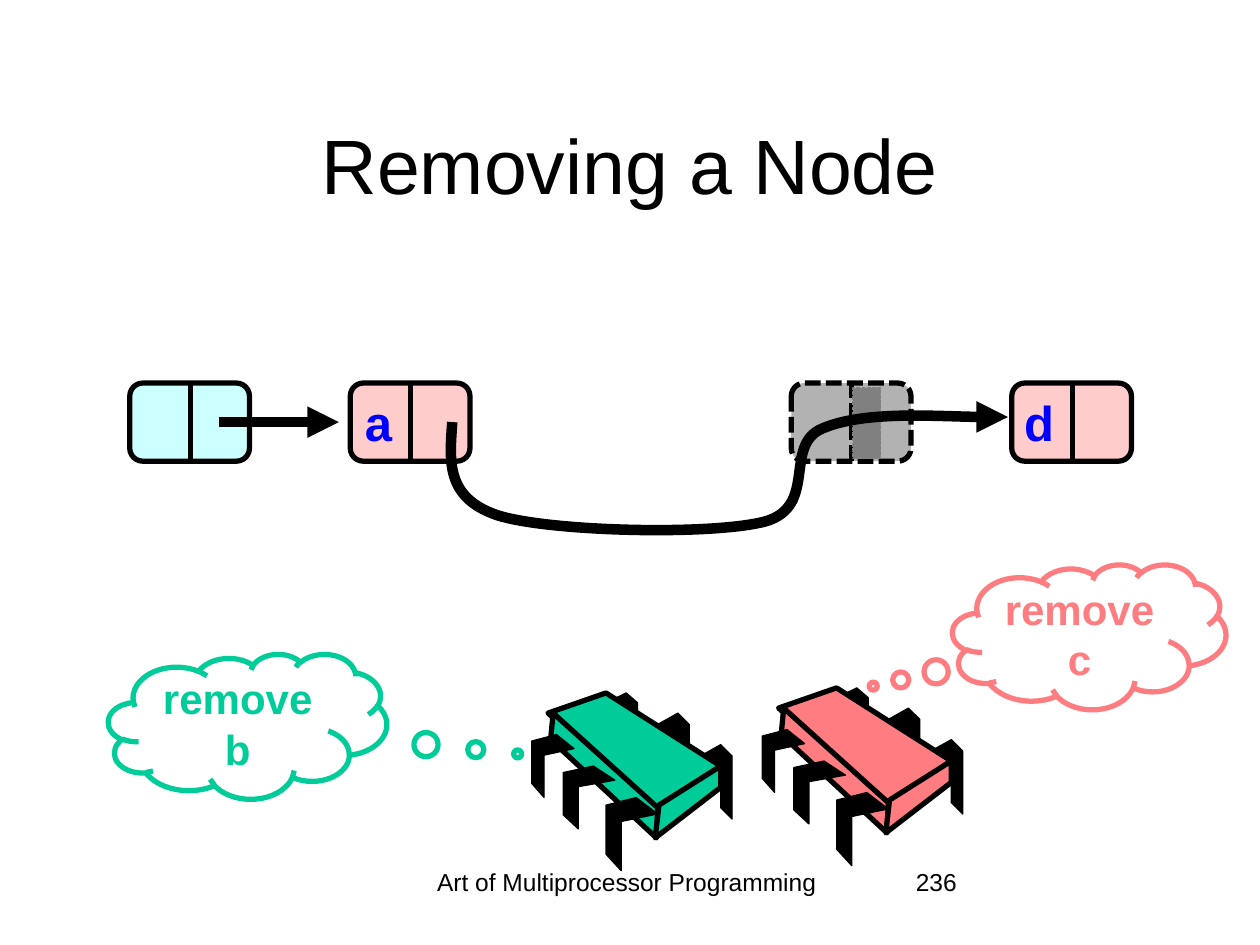
from lxml import etree
from pptx import Presentation
from pptx.dml import color
from pptx.enum import dml, shapes, text
from pptx.oxml import ns
from pptx.util import Inches, Pt

COLORS = {
    "black": "000000", "blue": "0000FF", "head": "CCFFFF", "node": "FFCCCC",
    "removed": "B2B2B2", "mark": "808080", "green": "00CC99", "red": "FF7C80",
}
LABEL = {"size": Pt(28), "bold": True}
THOUGHT = {"size": Pt(24), "bold": True}
FOOTER = {"size": Pt(14)}
TITLE = {"size": Pt(44)}
DOTTED = dml.MSO_LINE.SQUARE_DOT

# Row of list nodes
NODE_LEFT, NODE_STEP, NODE_TOP = 1.03, 1.75, 3.04
NODE_WIDTH, NODE_HEIGHT = 0.95, 0.62

# Chip outlines, in inches from the top left corner of the chip
BACK_LEG = [(0, 0.09), (0.16, 0), (0.25, 0.09), (0.25, 0.59), (0.16, 0.5),
            (0.16, 0.17), (0, 0.25)]
FRONT_LEG = [(0.24, 0), (0.41, 0.13), (0.12, 0.19), (0.12, 0.58), (0, 0.45),
             (0, 0.06)]
# Each leg: left, top, horizontal scale, vertical scale
BACK_LEGS = [(1.34, 0.41, 1, 1), (1, 0.16, 1, 1), (0.59, 0, 1, 0.86)]
FRONT_LEGS = [(0.59, 0.83, 1, 1), (0.25, 0.58, 1, 0.86), (0, 0.33, 0.82, 0.86)]
BODY = [
    [(0.59, 0), (1.5, 0.58), (0.99, 0.93), (0.13, 0.16)],
    [(0.17, 0.16), (1, 0.91), (0.99, 1.15), (0.15, 0.37)],
    [(1.5, 0.58), (1.5, 0.75), (0.98, 1.15), (1.01, 0.89)],
]

# Start point, then three points for each curve
DETOUR = [(3.59, 3.35),
          (3.57, 3.65), (3.53, 3.95), (3.95, 4.09),
          (4.36, 4.22), (5.64, 4.25), (6.07, 4.14),
          (6.5, 4.02), (6.21, 3.53), (6.53, 3.4),
          (6.86, 3.26), (7.76, 3.32), (8, 3.31)]


def rgb(name):
    return color.RGBColor.from_string(COLORS[name])


def style_line(shape, name, width, dash=None):
    shape.line.color.rgb = rgb(name)
    shape.line.width = Pt(width)
    if dash:
        shape.line.dash_style = dash


def style_shape(shape, fill, line, width, dash=None):
    shape.shadow.inherit = False
    if fill:
        shape.fill.solid()
        shape.fill.fore_color.rgb = rgb(fill)
    else:
        shape.fill.background()
    style_line(shape, line, width, dash)


def add_arrowhead(shape):
    etree.SubElement(shape.line._get_or_add_ln(), ns.qn("a:tailEnd"), type="triangle")


def write(shape, words, name, formats, align, anchor=text.MSO_ANCHOR.TOP, wrap=True):
    frame = shape.text_frame
    frame.word_wrap = wrap
    frame.vertical_anchor = anchor
    paragraph = frame.paragraphs[0]
    paragraph.alignment = align
    run = paragraph.add_run()
    run.text = words
    for attribute, value in {"name": "Arial", **formats}.items():
        setattr(run.font, attribute, value)
    run.font.color.rgb = rgb(name)


def add_text(parent, box, words, name, formats, align, **options):
    shape = parent.add_textbox(*map(Inches, box))
    write(shape, words, name, formats, align, **options)


def add_line(parent, start, end, width, dash=None):
    line = parent.add_connector(shapes.MSO_CONNECTOR.STRAIGHT,
                                *map(Inches, (*start, *end)))
    style_line(line, "black", width, dash)
    etree.SubElement(line._element.spPr, ns.qn("a:effectLst"))
    return line


def add_outline(parent, points, close=True):
    corners = [(Inches(x), Inches(y)) for x, y in points]
    builder = parent.build_freeform(*corners[0])
    builder.add_line_segments(corners[1:], close=close)
    return builder.convert_to_shape()


def add_curve(parent, points, width):
    shape = add_outline(parent, points, close=False)
    style_shape(shape, None, "black", width)
    # Turn every three straight segments into one Bezier curve
    segments = list(shape._element.iter(ns.qn("a:lnTo")))
    for first in range(0, len(segments), 3):
        curve = etree.Element(ns.qn("a:cubicBezTo"))
        segments[first].addprevious(curve)
        for segment in segments[first:first + 3]:
            curve.append(segment[0])
            segment.getparent().remove(segment)
    add_arrowhead(shape)


def add_node(slide, column, fill, label=None, dash=None):
    parent = slide.shapes.add_group_shape().shapes
    left = NODE_LEFT + column * NODE_STEP
    box = parent.add_shape(shapes.MSO_SHAPE.ROUNDED_RECTANGLE,
                           *map(Inches, (left, NODE_TOP, NODE_WIDTH, NODE_HEIGHT)))
    style_shape(box, fill, "black", 3, dash)
    middle = left + 0.48
    add_line(parent, (middle, 3.03), (middle, 3.67), 3, dash)
    if label:
        add_text(parent, (left, 3.07, 0.43, 0.57), label, "blue", LABEL,
                 text.PP_ALIGN.RIGHT, wrap=False)


def add_chip(slide, left, top, name):
    parent = slide.shapes.add_group_shape().shapes

    def add_part(points, fill, width, x=0, y=0, wide=1, high=1):
        placed = [(left + x + wide * across, top + y + high * down)
                  for across, down in points]
        style_shape(add_outline(parent, placed), fill, "black", width)

    for leg in BACK_LEGS:
        add_part(BACK_LEG, "black", 0.75, *leg)
    for face in BODY:
        add_part(face, name, 3)
    for leg in FRONT_LEGS:
        add_part(FRONT_LEG, "black", 0.75, *leg)


def add_thought(slide, box, words, name, tail):
    cloud = slide.shapes.add_shape(shapes.MSO_SHAPE.CLOUD_CALLOUT, *map(Inches, box))
    cloud.adjustments[0], cloud.adjustments[1] = tail
    style_shape(cloud, None, name, 3)
    write(cloud, words, name, THOUGHT, text.PP_ALIGN.CENTER, text.MSO_ANCHOR.MIDDLE)


def main():
    presentation = Presentation()
    presentation.slide_width, presentation.slide_height = Inches(10), Inches(7.5)
    slide = presentation.slides.add_slide(presentation.slide_layouts[6])

    # Title and footer
    center = text.PP_ALIGN.CENTER
    add_text(slide.shapes, (0.75, 0.67, 8.5, 1.25), "Removing a Node", "black",
             TITLE, center, anchor=text.MSO_ANCHOR.MIDDLE)
    add_text(slide.shapes, (3.1, 6.83, 3.75, 0.5), "Art of Multiprocessor Programming",
             "black", FOOTER, center)
    add_text(slide.shapes, (7.17, 6.83, 2.08, 0.5), "236", "black", FOOTER,
             text.PP_ALIGN.LEFT)

    # Linked list with one removed node
    add_node(slide, 0, "head")
    add_node(slide, 1, "node", "a")
    add_node(slide, 3, "removed", dash=DOTTED)
    add_node(slide, 4, "node", "d")
    mark = slide.shapes.add_shape(shapes.MSO_SHAPE.RECTANGLE,
                                  *map(Inches, (6.77, 3.08, 0.22, 0.56)))
    style_shape(mark, "mark", "mark", 0.75, DOTTED)
    add_arrowhead(add_line(slide.shapes, (1.74, 3.35), (2.69, 3.35), 6))
    add_curve(slide.shapes, DETOUR, 6)

    # Threads and their thoughts
    add_chip(slide, 4.22, 5.5, "green")
    add_chip(slide, 6.05, 5.46, "red")
    add_thought(slide, (0.86, 5.19, 2.21, 1.15), "remove b", "green", (0.97, 0.19))
    add_thought(slide, (7.56, 4.48, 2.17, 1.15), "remove c", "red", (-0.79, 0.34))

    presentation.save("out.pptx")


if __name__ == "__main__":
    main()
